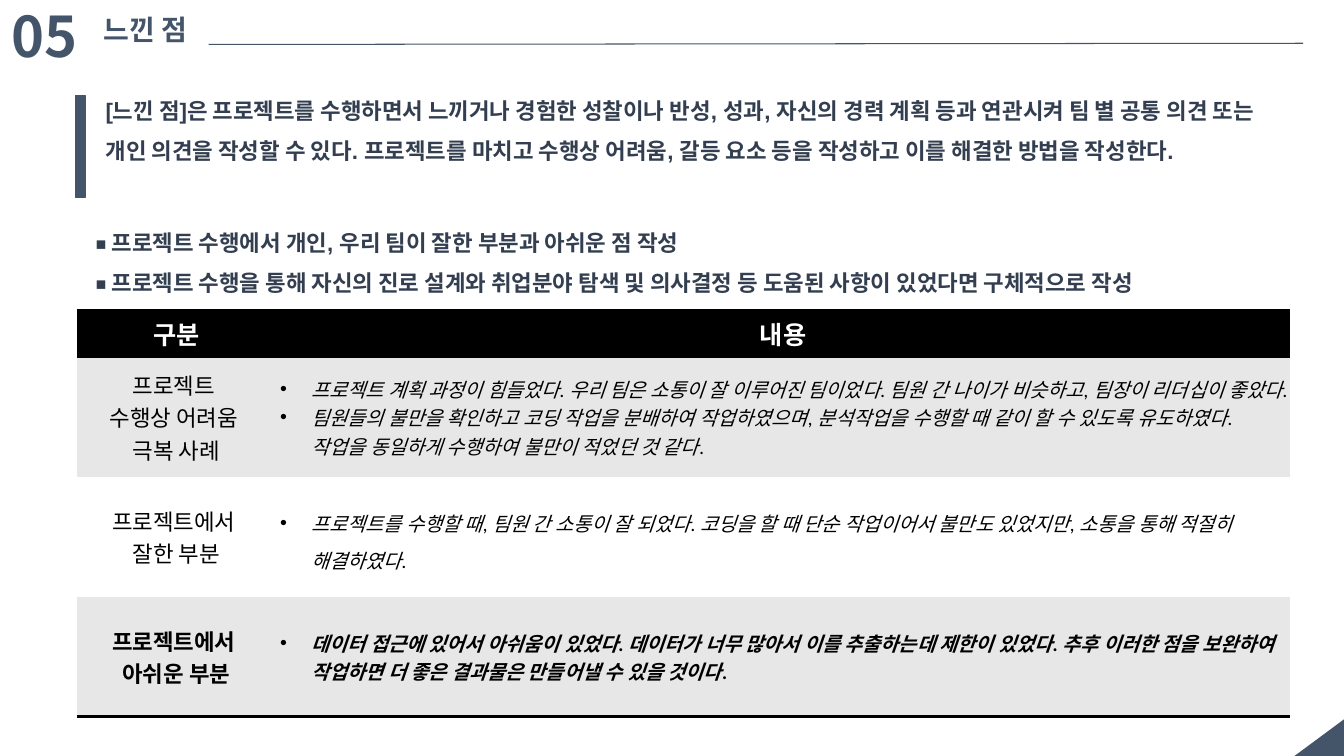
from dataclasses import dataclass

from lxml.etree import SubElement
from pptx import Presentation
from pptx.dml.color import RGBColor
from pptx.enum.shapes import MSO_CONNECTOR as Connector, MSO_SHAPE as Preset
from pptx.enum.text import MSO_ANCHOR as Anchor, MSO_AUTO_SIZE as AutoSize, PP_ALIGN as Align
from pptx.oxml import parse_xml
from pptx.oxml.ns import nsdecls, qn
from pptx.util import Cm, Pt


@dataclass(frozen=True)
class Theme:
    slate: str = "445569"
    ink: str = "333F50"
    black: str = "000000"
    white: str = "FFFFFF"
    band: str = "E7E7E7"
    number_size: int = 40
    title_size: int = 20
    header_size: int = 18
    body_size: int = 16
    answer_size: int = 14
    korean: str = "Noto Sans CJK KR"
    latin: str = "Arial"
    table: str = "Calibri"
    no_grid: str = "{2D5ABB26-0587-4C30-8999-92F81FD0307C}"


THEME = Theme()


@dataclass(frozen=True)
class Style:
    size: int
    color: str
    font: str = THEME.latin
    bold: bool = True
    italic: bool = False
    align: Align = Align.LEFT
    spacing: float = 1.0
    bullet: bool = False


@dataclass(frozen=True)
class Area:
    left: float
    top: float
    width: float
    height: float

    def lengths(self) -> tuple:
        return Cm(self.left), Cm(self.top), Cm(self.width), Cm(self.height)


@dataclass(frozen=True)
class TextBlock:
    area: Area
    text: str
    style: Style
    wrap: bool = True


@dataclass(frozen=True)
class Review:
    label: str
    answer: str
    fill: str
    spacing: float = 1.0
    bold: bool = False


BLOCKS = [
    TextBlock(Area(0.05, -0.08, 3.23, 1.96), "05",
              Style(THEME.number_size, THEME.slate, THEME.korean)),
    TextBlock(Area(2.36, 0.18, 2.9, 1.12), "느낀 점",
              Style(THEME.title_size, THEME.slate), wrap=False),
    TextBlock(Area(2.41, 1.98, 29.59, 3.2),
              "[느낀 점]은 프로젝트를 수행하면서 느끼거나 경험한 성찰이나 반성, 성과, 자신의 경력 계획 등과 "
              "연관시켜 팀 별 공통 의견 또는 개인 의견을 작성할 수 있다. 프로젝트를 마치고 수행상 어려움, "
              "갈등 요소 등을 작성하고 이를 해결한 방법을 작성한다.",
              Style(THEME.body_size, THEME.ink, spacing=1.5)),
    TextBlock(Area(2.16, 5.31, 30.15, 2.31),
              "◾ 프로젝트 수행에서 개인, 우리 팀이 잘한 부분과 아쉬운 점 작성\n"
              "◾ 프로젝트 수행을 통해 자신의 진로 설계와 취업분야 탐색 및 의사결정 등 도움된 사항이 "
              "있었다면 구체적으로 작성",
              Style(THEME.body_size, THEME.ink, spacing=1.5)),
]

REVIEWS = [
    Review("프로젝트 \n수행상 어려움 \n극복 사례",
           "프로젝트 계획 과정이 힘들었다. 우리 팀은 소통이 잘 이루어진 팀이었다. "
           "팀원 간 나이가 비슷하고, 팀장이 리더십이 좋았다.\n"
           "팀원들의 불만을 확인하고 코딩 작업을 분배하여 작업하였으며, 분석작업을 수행할 때 "
           "같이 할 수 있도록 유도하였다. 작업을 동일하게 수행하여 불만이 적었던 것 같다.",
           THEME.band),
    Review("프로젝트에서 \n잘한 부분",
           "프로젝트를 수행할 때, 팀원 간 소통이 잘 되었다. 코딩을 할 때 단순 작업이어서 "
           "불만도 있었지만, 소통을 통해 적절히 해결하였다.",
           THEME.white, spacing=1.3),
    Review("프로젝트에서 \n아쉬운 부분",
           "데이터 접근에 있어서 아쉬움이 있었다. 데이터가 너무 많아서 이를 추출하는데 제한이 "
           "있었다. 추후 이러한 점을 보완하여 작업하면 더 좋은 결과물은 만들어낼 수 있을 것이다.",
           THEME.band, bold=True),
]


def write(frame, text: str, style: Style) -> None:
    """Put text in a frame and format its paragraphs."""
    frame.text = text
    for para in frame.paragraphs:
        para.alignment = style.align
        para.line_spacing = style.spacing
        if style.bullet:
            properties = para._p.get_or_add_pPr()
            properties.set("marL", str(Cm(0.79)))
            properties.set("indent", str(-Cm(0.79)))
            SubElement(properties, qn("a:buFont"), typeface=THEME.latin)
            SubElement(properties, qn("a:buChar"), char="•")
        for span in para.runs:
            font = span.font
            font.name, font.size = style.font, Pt(style.size)
            font.bold, font.italic = style.bold, style.italic
            font.color.rgb = RGBColor.from_string(style.color)
            SubElement(font._element, qn("a:ea"), typeface=THEME.korean)


def add_block(page, block: TextBlock) -> None:
    """Add a text box."""
    box = page.shapes.add_textbox(*block.area.lengths())
    write(box.text_frame, block.text, block.style)
    box.text_frame.word_wrap = block.wrap
    box.text_frame.auto_size = AutoSize.SHAPE_TO_FIT_TEXT


def add_solid(page, preset: Preset, area: Area):
    """Add a slate shape without an outline."""
    shape = page.shapes.add_shape(preset, *area.lengths())
    shape.shadow.inherit = False
    shape.fill.solid()
    shape.fill.fore_color.rgb = RGBColor.from_string(THEME.slate)
    shape.line.fill.background()
    return shape


def add_rule(page) -> None:
    """Add the thin line beside the title."""
    rule = page.shapes.add_connector(Connector.STRAIGHT, Cm(5.26), Cm(1.12), Cm(32.84), Cm(1.09))
    rule.line.color.rgb = RGBColor.from_string(THEME.slate)
    rule.line.width = Pt(0.75)
    SubElement(rule._element.spPr, qn("a:effectLst"))


def fill_cell(cell, text: str, style: Style, fill: str, edges: tuple = ()) -> None:
    """Write a table cell with its fill and black edges."""
    write(cell.text_frame, text, style)
    cell.vertical_anchor = Anchor.MIDDLE
    if style.bullet:
        cell.margin_left = Cm(0.1)
        cell.margin_right = cell.margin_top = cell.margin_bottom = Cm(0)
    cell.fill.solid()
    cell.fill.fore_color.rgb = RGBColor.from_string(fill)
    for place, edge in enumerate(edges):
        cell._tc.get_or_add_tcPr().insert(place, parse_xml(
            f'<a:{edge} {nsdecls("a")} w="{Pt(2)}"><a:solidFill>'
            f'<a:srgbClr val="{THEME.black}"/></a:solidFill></a:{edge}>'))


def add_reviews(page) -> None:
    """Add the table of reviews."""
    area = Area(1.93, 7.82, 30.58, 10.24)
    table = page.shapes.add_table(len(REVIEWS) + 1, 2, *area.lengths()).table
    table._tbl.tblPr.find(qn("a:tableStyleId")).text = THEME.no_grid
    for column, width in zip(table.columns, (5.03, 25.55)):
        column.width = Cm(width)
    for row, height in zip(table.rows, (1.18, *[3.02] * len(REVIEWS))):
        row.height = Cm(height)
    header = Style(THEME.header_size, THEME.white, THEME.table, align=Align.CENTER)
    for column, heading in enumerate(("구분", "내용")):
        fill_cell(table.cell(0, column), heading, header, THEME.black, ("lnT", "lnB"))
    for row, review in enumerate(REVIEWS, start=1):
        label = Style(THEME.body_size, THEME.black, THEME.table, review.bold, align=Align.CENTER)
        answer = Style(THEME.answer_size, THEME.black, THEME.table, review.bold, italic=True,
                       spacing=review.spacing, bullet=True)
        edges = ("lnB",) if row == len(REVIEWS) else ()
        fill_cell(table.cell(row, 0), review.label, label, review.fill, edges)
        fill_cell(table.cell(row, 1), review.answer, answer, review.fill, edges)


def main() -> None:
    """Build the slide and save it."""
    deck = Presentation()
    deck.slide_width, deck.slide_height = Cm(33.87), Cm(19.05)
    page = deck.slides.add_slide(deck.slide_layouts[6])
    corner = add_solid(page, Preset.RIGHT_TRIANGLE, Area(32.77, 17.96, 0.94, 1.27))
    corner.rotation = 90
    for flip in ("flipH", "flipV"):
        corner._element.spPr.xfrm.set(flip, "1")
    add_rule(page)
    for block in BLOCKS:
        add_block(page, block)
    bar = add_solid(page, Preset.RECTANGLE, Area(1.91, 2.41, 0.23, 2.57))
    bar.line.color.rgb = RGBColor.from_string(THEME.slate)
    bar.line.width = Pt(1)
    add_reviews(page)
    deck.save("out.pptx")


if __name__ == "__main__":
    main()
